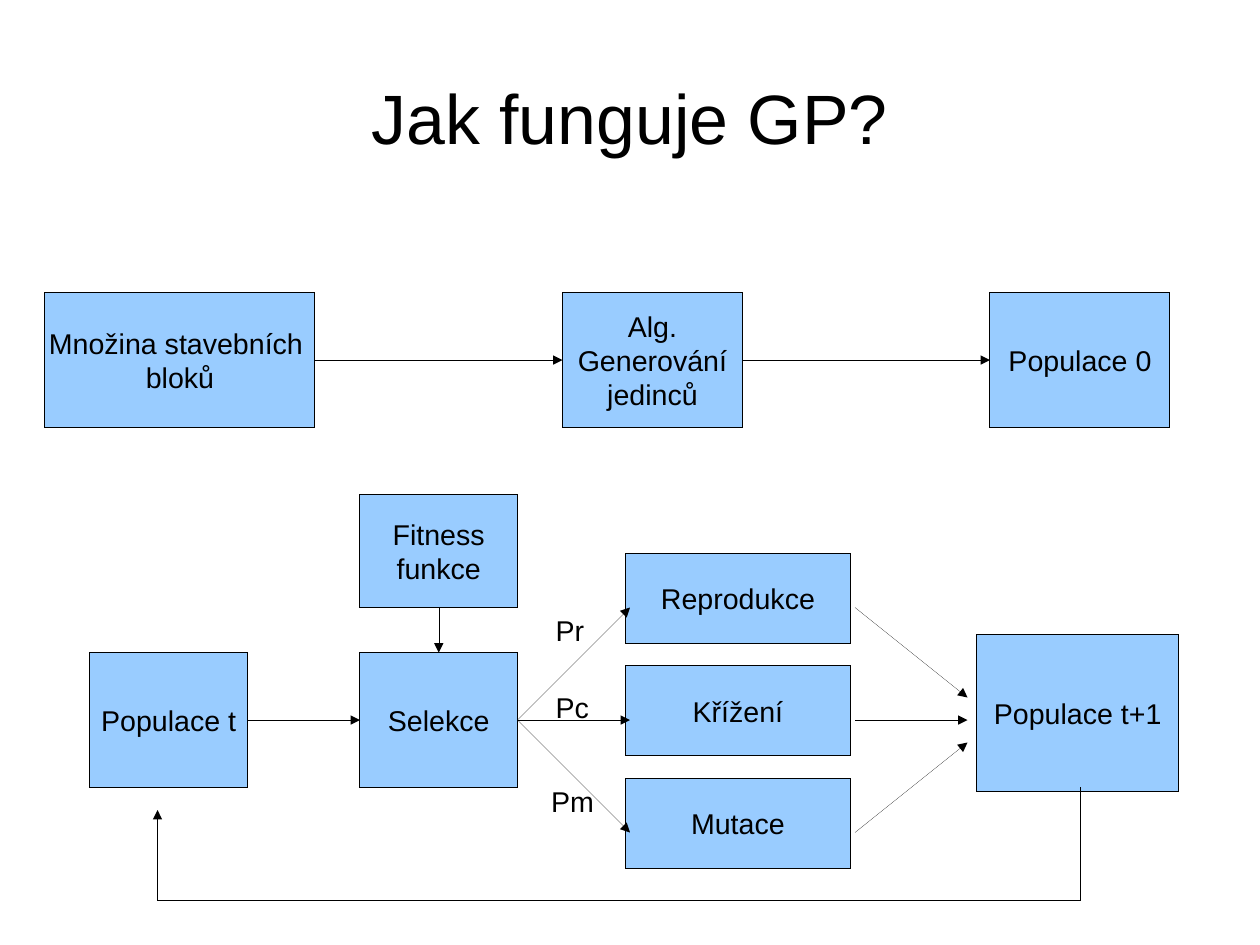
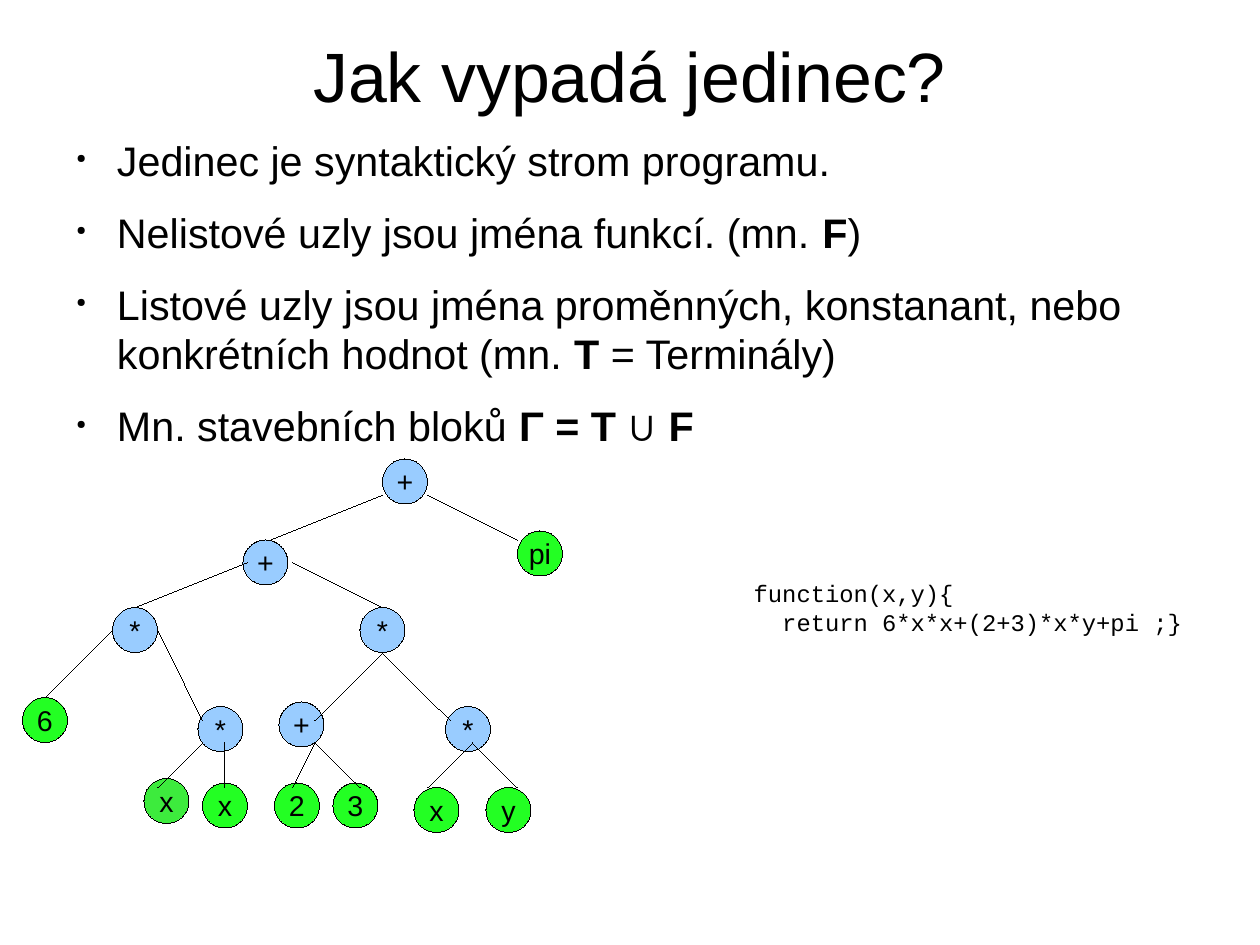
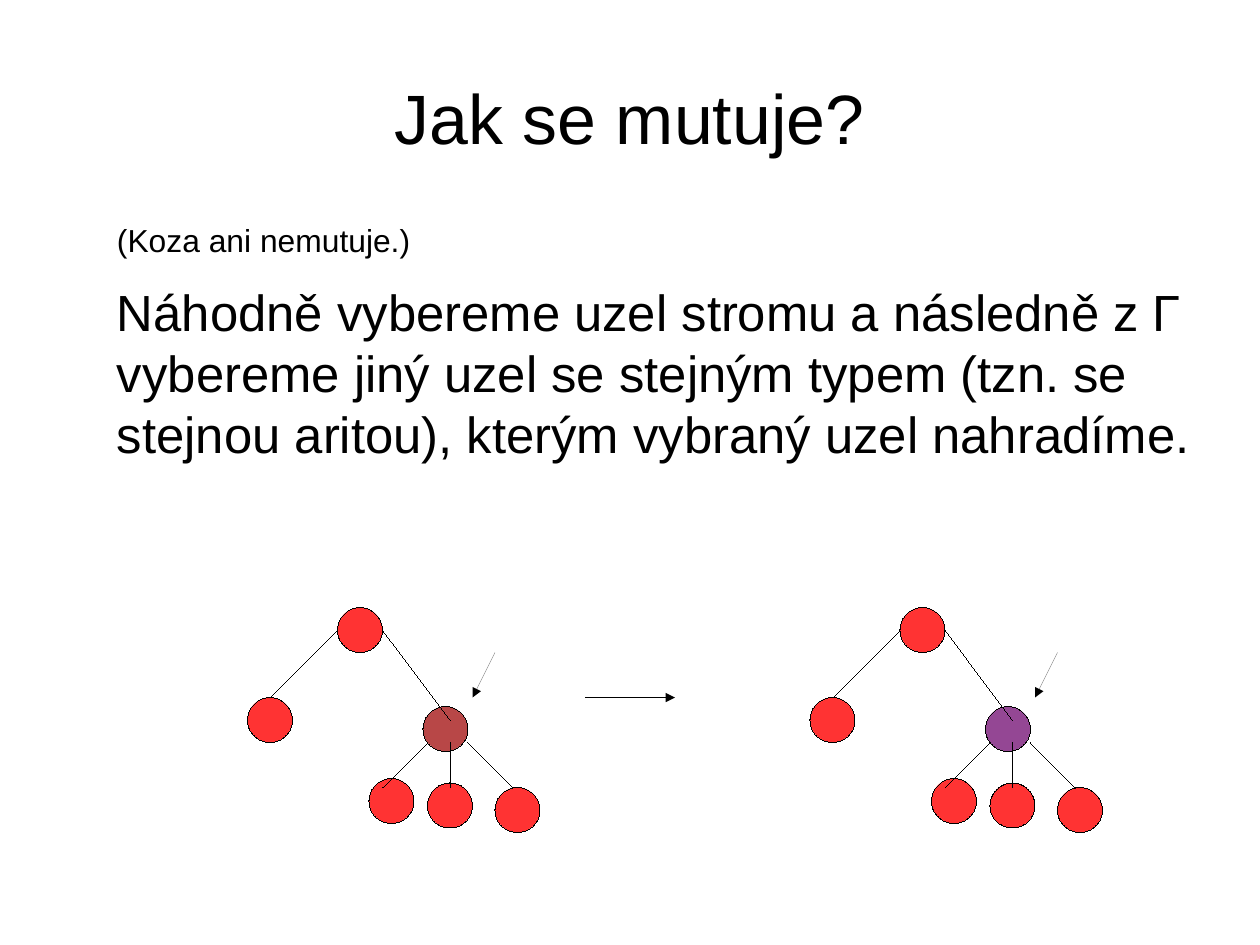
"""Builds three slides on genetic programming: the cycle, an individual and mutation."""
from lxml import etree
from pptx import Presentation
from pptx import util as u
from pptx.dml.color import RGBColor
from pptx.enum import shapes, text
from pptx.oxml.ns import qn


class Theme:
    ink = RGBColor.from_string("000000")
    paper = RGBColor.from_string("FFFFFF")
    blue = RGBColor.from_string("99CCFF")
    green = RGBColor.from_string("23FF23")
    chosen_green = RGBColor.from_string("3DEB3D")
    red = RGBColor.from_string("FF3333")
    old_node = RGBColor.from_string("B84747")
    new_node = RGBColor.from_string("944794")
    font, code_font = "Arial", "Courier New"
    title, body, large, small, label, code = 44, 26, 32, 20, 18, 15
    after = 14.2
    hairline = "0"
    bullet_percent = "30000"


RECT, OVAL = shapes.MSO_SHAPE.RECTANGLE, shapes.MSO_SHAPE.OVAL
LEFT, CENTER = text.PP_ALIGN.LEFT, text.PP_ALIGN.CENTER
TOP, MIDDLE = text.MSO_ANCHOR.TOP, text.MSO_ANCHOR.MIDDLE


def block(s, kind, at, words="", fill=Theme.blue, line=Theme.ink, size=Theme.label,
          font=Theme.font, align=CENTER, anchor=MIDDLE, wrap=False):
    at = [u.Cm(v) for v in at]
    if kind is None:
        sp = s.shapes.add_textbox(*at)
    else:
        sp = s.shapes.add_shape(kind, *at)
        sp.shadow.inherit = False
        sp.fill.solid()
        sp.fill.fore_color.rgb = fill
        sp.line.color.rgb = line
        sp._element.spPr.find(qn("a:ln")).set("w", Theme.hairline)
    tf = sp.text_frame
    tf.word_wrap = wrap
    tf.vertical_anchor = anchor
    if wrap:
        tf.margin_left = tf.margin_right = tf.margin_top = tf.margin_bottom = 0
    if words:
        tf.text = words
        for p in tf.paragraphs:
            p.alignment = align
            for r in p.runs:
                r.font.size = u.Pt(size)
                r.font.name = font
                r.font.color.rgb = Theme.ink
    return sp


def link(s, x1, y1, x2, y2, arrow=False, start=None, end=None):
    cn = s.shapes.add_connector(shapes.MSO_CONNECTOR.STRAIGHT, *[u.Cm(v) for v in (x1, y1, x2, y2)])
    cn.line.color.rgb = Theme.ink
    ln = cn._element.spPr.find(qn("a:ln"))
    ln.set("w", Theme.hairline)
    if arrow:
        etree.SubElement(ln, qn("a:tailEnd"), type="triangle")
    etree.SubElement(cn._element.spPr, qn("a:effectLst"))
    if start:
        cn.begin_connect(*start)
    if end:
        cn.end_connect(*end)


prs = Presentation()
prs.slide_width, prs.slide_height = u.Cm(28), u.Cm(21)

slides = []
for title, top, height in [("Jak funguje GP?", 0.84, 3.5),
                           ("Jak vypadá jedinec?", 0.8, 1.73),
                           ("Jak se mutuje?", 0.84, 3.5)]:
    s = prs.slides.add_slide(prs.slide_layouts[6])
    block(s, None, (1.4, top, 25.2, height), title, size=Theme.title, wrap=True)
    slides.append(s)
cycle, individual, mutation = slides

boxes = {}
for name, words, at in [
    ("blocks", "Množina stavebních \nbloků", (1, 6.5, 6, 3)),
    ("generator", "Alg.\nGenerování\njedinců", (12.5, 6.5, 4, 3)),
    ("first", "Populace 0", (22, 6.5, 4, 3)),
    ("current", "Populace t", (2, 14.5, 3.5, 3)),
    ("selection", "Selekce", (8, 14.5, 3.5, 3)),
    ("fitness", "Fitness\nfunkce", (8, 11, 3.5, 2.5)),
    ("next", "Populace t+1", (21.7, 14.1, 4.5, 3.5)),
]:
    boxes[name] = block(cycle, RECT, at, words)

for a, side_a, b, side_b in [("blocks", 3, "generator", 1), ("generator", 3, "first", 1),
                             ("current", 3, "selection", 1), ("fitness", 2, "selection", 0)]:
    link(cycle, 0, 0, 0, 0, True, (boxes[a], side_a), (boxes[b], side_b))

for i, (operator, chance, x, y) in enumerate([("Reprodukce", "Pr", 12.1, 13.5),
                                              ("Křížení", "Pc", 12.1, 15.2),
                                              ("Mutace", "Pm", 12, 17.3)]):
    block(cycle, RECT, (13.9, 12.3 + 2.5 * i, 5, 2), operator)
    block(cycle, None, (x, y, 1.6, 1), chance, align=LEFT, anchor=TOP)
    level = 13.5 + 2.5 * i
    link(cycle, 11.5, 16, 14, level, True, start=(boxes["selection"], 3))
    link(cycle, 19, level, 21.5, 15.5 + 0.5 * i, True)

link(cycle, 24, 17.5, 24, 20)
link(cycle, 3.5, 20, 24, 20)
link(cycle, 3.5, 20, 3.5, 18, True)

for s, top, height, bullet, paragraphs in [
    (individual, 3, 15.77, True, [
        ("Jedinec je syntaktický strom programu.", Theme.body),
        ("Nelistové uzly jsou jména funkcí. (mn. |F|)", Theme.body),
        ("Listové uzly jsou jména proměnných, konstanant, nebo konkrétních hodnot "
         "(mn. |T| = Terminály)", Theme.body),
        ("Mn. stavebních bloků |Γ = T ∪ F", Theme.body)]),
    (mutation, 4.9, 12.2, False, [
        ("(Koza ani nemutuje.)", Theme.small),
        ("Náhodně vybereme uzel stromu a následně z Γ vybereme jiný uzel se stejným typem "
         "(tzn. se stejnou aritou), kterým vybraný uzel nahradíme.", Theme.large)]),
]:
    tf = block(s, None, (1.4, top, 25.2, height), anchor=TOP, wrap=True).text_frame
    for i, (words, size) in enumerate(paragraphs):
        p = tf.add_paragraph() if i else tf.paragraphs[0]
        p.space_after = u.Pt(Theme.after)
        pPr = p._p.get_or_add_pPr()
        pPr.set("marL", str(u.Cm(1.2)))
        pPr.set("indent", str(u.Cm(-0.9 if bullet else 0)))
        if bullet:
            color = etree.SubElement(pPr, qn("a:buClr"))
            etree.SubElement(color, qn("a:srgbClr"), val=str(Theme.ink))
            etree.SubElement(pPr, qn("a:buSzPct"), val=Theme.bullet_percent)
            etree.SubElement(pPr, qn("a:buChar"), char="●")
        for j, part in enumerate(words.split("|")):
            r = p.add_run()
            r.text = part
            r.font.size = u.Pt(size)
            r.font.name = Theme.font
            r.font.bold = j % 2 == 1
            r.font.color.rgb = Theme.ink

block(individual, RECT, (16.5, 9, 8.5, 9), "function(x,y){\n  return 6*x*x+(2+3)*x*y+pi ;}",
      Theme.paper, Theme.paper, Theme.code, Theme.code_font, LEFT)

for words, x, y, fill in [
    ("+", 8.5, 10.2, Theme.blue), ("+", 5.4, 12, Theme.blue), ("pi", 11.5, 11.8, Theme.green),
    ("*", 2.5, 13.5, Theme.blue), ("*", 8, 13.5, Theme.blue), ("6", 0.5, 15.5, Theme.green),
    ("+", 6.2, 15.6, Theme.blue), ("*", 4.4, 15.7, Theme.blue), ("*", 9.9, 15.7, Theme.blue),
    ("x", 3.2, 17.3, Theme.chosen_green), ("x", 4.5, 17.4, Theme.green),
    ("2", 6.1, 17.4, Theme.green), ("3", 7.4, 17.4, Theme.green),
    ("x", 9.2, 17.5, Theme.green), ("y", 10.8, 17.5, Theme.green),
]:
    block(individual, OVAL, (x, y, 1, 1), words, fill)

for branch in [
    (8.5, 11, 6, 12), (9.5, 11, 11.5, 12), (5.5, 12.5, 3, 13.5), (6.5, 12.5, 8.5, 13.5),
    (2.5, 14, 1, 15.5), (3.5, 14, 4.5, 16), (8.5, 14.5, 7, 16), (8.5, 14.5, 10, 16),
    (4.5, 16.5, 3.5, 17.5), (5, 16.5, 5, 17.5), (7, 16.5, 6.5, 17.5), (7, 16.5, 8, 17.5),
    (10.5, 16.5, 9.5, 17.5), (10.5, 16.5, 11.5, 17.5),
]:
    link(individual, *branch)

for dx, mutated in [(0, Theme.old_node), (12.5, Theme.new_node)]:
    for x, y, fill in [(7.5, 13.5, Theme.red), (5.5, 15.5, Theme.red), (9.4, 15.7, mutated),
                       (8.2, 17.3, Theme.red), (9.5, 17.4, Theme.red), (11, 17.5, Theme.red)]:
        block(mutation, OVAL, (x + dx, y, 1, 1), fill=fill)
    for x1, y1, x2, y2 in [(7.5, 14, 6, 15.5), (8.5, 14, 10, 16), (9.5, 16.5, 8.5, 17.5),
                           (10, 16.5, 10, 17.5), (10.4, 16.5, 11.4, 17.5)]:
        link(mutation, x1 + dx, y1, x2 + dx, y2)
    link(mutation, 11 + dx, 14.5, 10.5 + dx, 15.5, True)
link(mutation, 13, 15.5, 15, 15.5, True)

prs.save("out.pptx")
